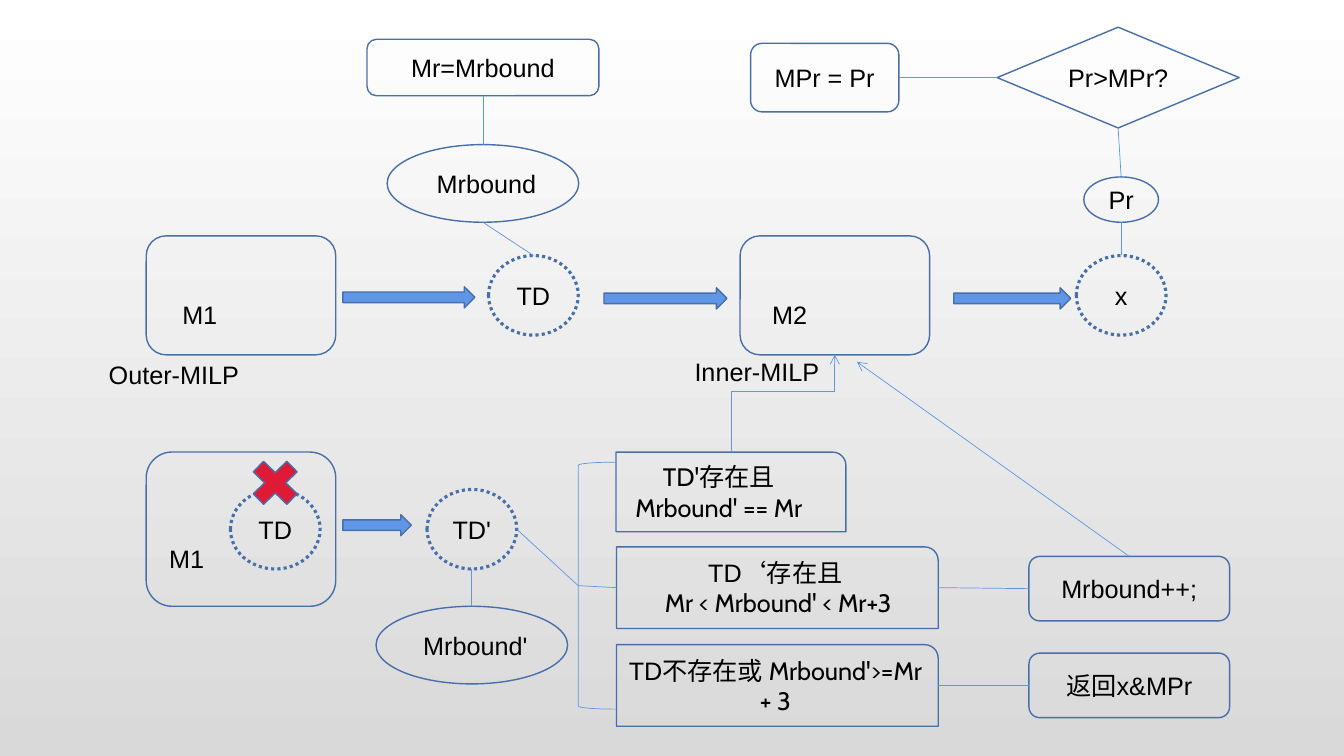
from lxml.etree import SubElement
from pptx import Presentation
from pptx.dml.color import RGBColor
from pptx.enum.dml import MSO_LINE_DASH_STYLE as Dash
from pptx.enum.shapes import MSO_CONNECTOR as Connector, MSO_SHAPE as Shape
from pptx.enum.text import MSO_ANCHOR as Anchor, MSO_AUTO_SIZE as AutoSize, PP_ALIGN as Align
from pptx.oxml.ns import qn
from pptx.util import Inches, Pt

THEME = {
    "text": "000000", "outline": "476FAA", "link": "6096E6", "arrow": "6096E6",
    "cross": "DE1A37", "top": "FFFFFF", "bottom": "D9D9D9",
    "font": "Arial", "branch font": "Cabin", "size": 18,
    "outline width": 1, "dotted width": 2.25, "link width": 0.5,
}

# Centre lines of the flow chart, in inches
COLUMNS = {"model 1": 2.39, "inside": 2.73, "bound": 4.79, "prime": 4.68, "result": 5.29,
           "bracket": 5.92, "first": 7.25, "branch": 7.71, "MPr": 8.18, "model 2": 8.28,
           "x": 11.12, "check": 11.09, "action": 11.2}
ROWS = {"update": 0.67, "check": 0.77, "bound": 1.82, "Pr": 1.98, "main": 2.93,
        "cross": 4.79, "first": 4.88, "retry": 5.25, "bracket": 5.81, "second": 5.83,
        "action": 5.84, "prime bound": 6.4, "third": 6.8}
SIZES = {"model": (1.88, 1.18), "model retry": (1.88, 1.53), "state": (0.89, 0.79),
         "bound": (1.9, 0.77), "Pr": (0.74, 0.45), "check": (2.4, 1), "MPr": (1.47, 0.68),
         "update": (2.3, 0.56), "first": (2.28, 0.79), "branch": (3.19, 0.81),
         "action": (1.99, 0.64), "cross": (0.64, 0.62), "bracket": (0.37, 2.45)}

# name: (shape, column, row, size, paragraphs of (text, font key) runs)
NODES = {
    "outer": (Shape.ROUNDED_RECTANGLE, "model 1", "main", "model", []),
    "TD": (Shape.OVAL, "result", "main", "state", [[("TD", "font")]]),
    "bound": (Shape.OVAL, "bound", "bound", "bound", [[(" Mrbound", "font")]]),
    "inner": (Shape.ROUNDED_RECTANGLE, "model 2", "main", "model", []),
    "x": (Shape.OVAL, "x", "main", "state", [[("x", "font")]]),
    "Pr": (Shape.OVAL, "x", "Pr", "Pr", [[("Pr", "font")]]),
    "outer retry": (Shape.ROUNDED_RECTANGLE, "model 1", "retry", "model retry", []),
    "TD old": (Shape.OVAL, "inside", "retry", "state", [[("TD", "font")]]),
    "cross": (Shape.MATH_MULTIPLY, "inside", "cross", "cross", []),
    "TD new": (Shape.OVAL, "prime", "retry", "state", [[("TD'", "font")]]),
    "bound new": (Shape.OVAL, "prime", "prime bound", "bound", [[(" Mrbound'", "font")]]),
    "check": (Shape.DIAMOND, "check", "check", "check", [[("Pr>MPr?", "font")]]),
    "MPr": (Shape.ROUNDED_RECTANGLE, "MPr", "check", "MPr", [[("MPr = Pr", "font")]]),
    "update": (Shape.ROUNDED_RECTANGLE, "bound", "update", "update", [[("Mr=Mrbound", "font")]]),
    "first": (Shape.ROUND_1_RECTANGLE, "first", "first", "first",
              [[("TD'存在且 Mrbound' == Mr", "branch font")]]),
    "second": (Shape.ROUND_1_RECTANGLE, "branch", "second", "branch",
               [[("TD‘存在且", "font")], [(" Mr < Mrbound' < Mr+3", "branch font")]]),
    "third": (Shape.ROUND_1_RECTANGLE, "branch", "third", "branch",
              [[("TD不存在或 ", "font"), ("Mrbound'>=Mr + 3", "branch font")]]),
    "bracket": (Shape.LEFT_BRACKET, "bracket", "bracket", "bracket", []),
    "increase": (Shape.ROUNDED_RECTANGLE, "action", "action", "action", [[("Mrbound++;", "font")]]),
    "return": (Shape.ROUNDED_RECTANGLE, "action", "third", "action", [[("返回x&MPr", "font")]]),
}
DOTTED = {"TD", "x", "TD old", "TD new"}

LINKS = [("TD", "top", "bound", "bottom"), ("x", "top", "Pr", "bottom"),
         ("TD new", "bottom", "bound new", "top"), ("check", "bottom", "Pr", "top"),
         ("check", "left", "MPr", "right"), ("update", "bottom", "bound", "top"),
         ("TD new", "right", "bracket", "left"), ("bracket", "left", "second", "left"),
         ("second", "right", "increase", "left"), ("third", "right", "return", "left")]
RETURN_TIP = (8.5, 3.59)
ELBOW_SHARE = 0.62

# left, centre line, width
BLOCK_ARROWS = [(3.4, 2.95, 1.31), (5.99, 2.96, 1.22), (9.46, 2.96, 1.16), (3.4, 5.21, 0.68)]
ARROW_HEIGHT = 0.21

# text, left, top, width
LABELS = [("M1", 1.71, 2.92, 0.83), ("M2", 7.56, 2.92, 0.83), ("Outer-MILP", 0.98, 3.52, 2.28),
          ("Inner-MILP", 6.79, 3.49, 2.76), ("M1", 1.58, 5.34, 0.83)]
LABEL_HEIGHT = 0.4


def colour(key):
    return RGBColor.from_string(THEME[key])


def write(frame, paragraphs, **paragraph_format):
    for index, runs in enumerate(paragraphs):
        paragraph = frame.paragraphs[0] if index == 0 else frame.add_paragraph()
        for name, value in paragraph_format.items():
            setattr(paragraph, name, value)
        for text, font_key in runs:
            run = paragraph.add_run()
            run.text = text
            for name, value in {"name": THEME[font_key], "size": Pt(THEME["size"])}.items():
                setattr(run.font, name, value)
            run.font.color.rgb = colour("text")


def add_outlined(slide, kind, box, fill=None, line="outline", width="outline width"):
    shape = slide.shapes.add_shape(kind, *map(Inches, box))
    shape.shadow.inherit = False
    if fill:
        shape.fill.solid()
        shape.fill.fore_color.rgb = colour(fill)
    else:
        shape.fill.background()
    shape.line.color.rgb = colour(line)
    shape.line.width = Pt(THEME[width])
    return shape


def add_node(slide, name):
    kind, column, row, size, paragraphs = NODES[name]
    width, height = SIZES[size]
    box = (COLUMNS[column] - width / 2, ROWS[row] - height / 2, width, height)
    style = {"cross": {"fill": "cross"},
             "bracket": {"line": "link", "width": "link width"}}.get(name, {})
    if name in DOTTED:
        style = {"width": "dotted width"}
    shape = add_outlined(slide, kind, box, **style)
    if name in DOTTED:
        shape.line.dash_style = Dash.ROUND_DOT
    frame = shape.text_frame
    frame.word_wrap = True
    frame.vertical_anchor = Anchor.MIDDLE
    if name == "first":
        frame.margin_right = Inches(0.3)
    write(frame, paragraphs, alignment=Align.CENTER)


def side_point(name, side):
    _, column, row, size, _ = NODES[name]
    across, down = {"left": (-1, 0), "right": (1, 0), "top": (0, -1), "bottom": (0, 1)}[side]
    width, height = SIZES[size]
    return COLUMNS[column] + across * width / 2, ROWS[row] + down * height / 2


def add_link(slide, start, end, kind=Connector.STRAIGHT, arrow=False):
    connector = slide.shapes.add_connector(kind, *map(Inches, (*start, *end)))
    connector.line.color.rgb = colour("link")
    connector.line.width = Pt(THEME["link width"])
    if arrow:
        SubElement(connector.line._get_or_add_ln(), qn("a:tailEnd"), type="arrow")
    SubElement(connector._element.spPr, qn("a:effectLst"))
    return connector


def add_rising_elbow(slide, start, end):
    """Draw an elbow that leaves and arrives vertically: a sideways one turned by 270 degrees."""
    middle_x, middle_y = (start[0] + end[0]) / 2, (start[1] + end[1]) / 2
    half_run, half_rise = (start[1] - end[1]) / 2, (end[0] - start[0]) / 2
    connector = add_link(slide, (middle_x - half_run, middle_y - half_rise),
                         (middle_x + half_run, middle_y + half_rise), Connector.ELBOW, arrow=True)
    properties = connector._element.spPr
    properties.find(qn("a:xfrm")).set("rot", str(270 * 60000))
    geometry = properties.find(qn("a:prstGeom"))
    guides = geometry.find(qn("a:avLst"))
    if guides is None:
        guides = SubElement(geometry, qn("a:avLst"))
    SubElement(guides, qn("a:gd"), name="adj1", fmla=f"val {round(ELBOW_SHARE * 100000)}")


def add_label(slide, text, left, top, width):
    frame = slide.shapes.add_textbox(*map(Inches, (left, top, width, LABEL_HEIGHT))).text_frame
    frame.word_wrap = True
    frame.auto_size = AutoSize.SHAPE_TO_FIT_TEXT
    write(frame, [[(text, "font")]])


def main():
    presentation = Presentation()
    presentation.slide_width, presentation.slide_height = Inches(13.33), Inches(7.5)
    slide = presentation.slides.add_slide(presentation.slide_layouts[6])
    background = slide.background.fill
    background.gradient()
    background.gradient_angle = 270
    for stop, key, position in zip(background.gradient_stops, ("top", "bottom"), (0, 1)):
        stop.color.rgb = colour(key)
        stop.position = position

    for name in NODES:
        add_node(slide, name)
    for left, middle, width in BLOCK_ARROWS:
        box = (left, middle - ARROW_HEIGHT / 2, width, ARROW_HEIGHT)
        add_outlined(slide, Shape.RIGHT_ARROW, box, fill="arrow")
    for source, source_side, target, target_side in LINKS:
        add_link(slide, side_point(source, source_side), side_point(target, target_side))
    add_rising_elbow(slide, side_point("first", "top"), side_point("inner", "bottom"))
    add_link(slide, side_point("increase", "top"), RETURN_TIP, arrow=True)
    for label in LABELS:
        add_label(slide, *label)
    presentation.save("out.pptx")


if __name__ == "__main__":
    main()
